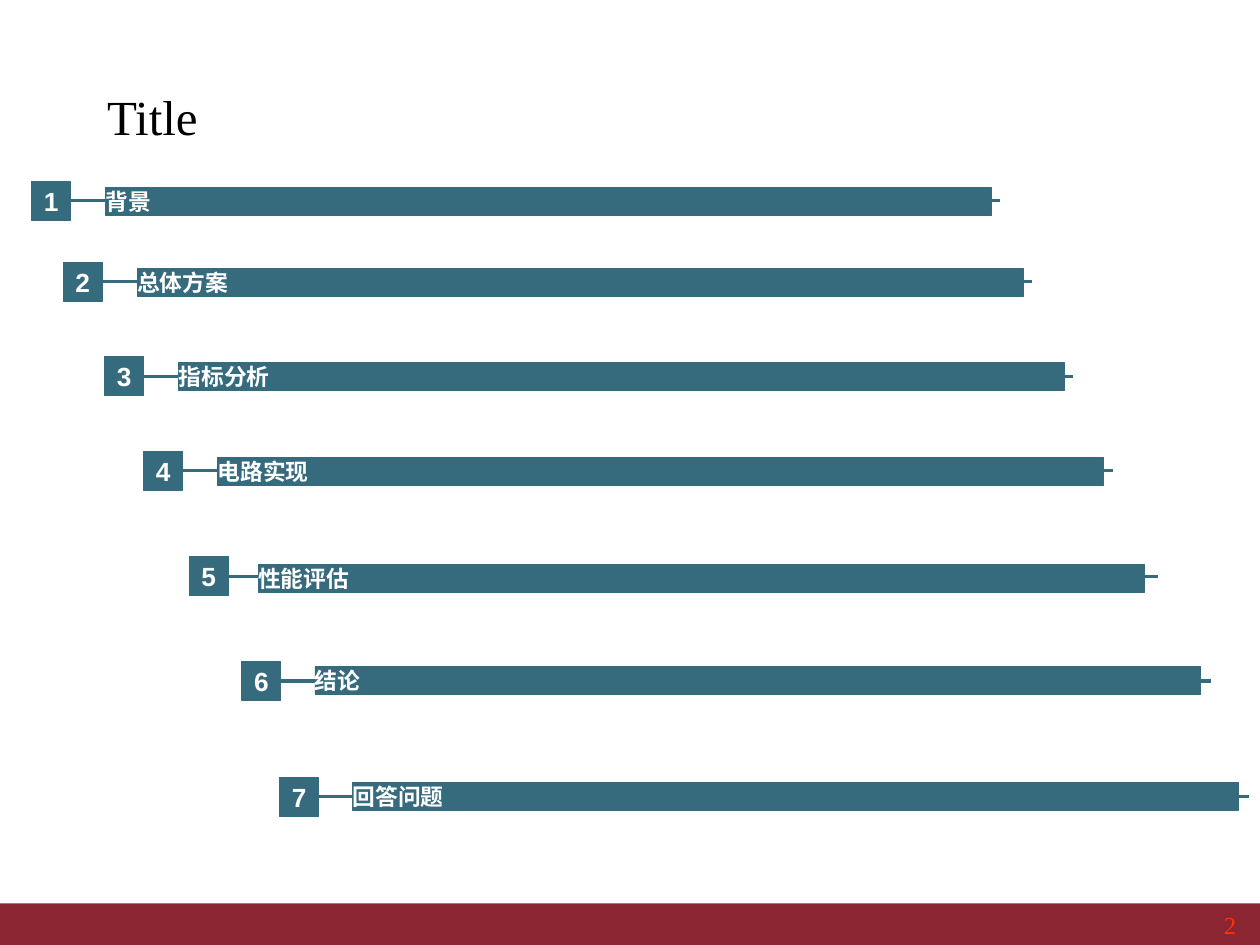
from lxml import etree
from pptx import Presentation
from pptx.dml.color import RGBColor
from pptx.enum import shapes, text
from pptx.oxml import ns
from pptx.util import Inches, Pt

TEAL = "366B7E"
BADGE_SIZE = 0.31
BAR_WIDTH, BAR_HEIGHT = 7.03, 0.22
LINE_LENGTH = 7.51


def write(shape, content, size, font, color, bold=False, align=text.PP_ALIGN.LEFT):
    frame = shape.text_frame
    frame.text = content
    paragraph = frame.paragraphs[0]
    paragraph.alignment = align
    run_font = paragraph.runs[0].font
    run_font.size, run_font.name, run_font.bold = Pt(size), font, bold
    run_font.color.rgb = RGBColor.from_string(color)


def add_box(container, left, top, width, height, color):
    shape = container.shapes.add_shape(
        shapes.MSO_SHAPE.RECTANGLE, Inches(left), Inches(top), Inches(width), Inches(height))
    shape.shadow.inherit = False
    shape.fill.solid()
    shape.fill.fore_color.rgb = RGBColor.from_string(color)
    shape.line.color.rgb = RGBColor.from_string(color)
    shape.line.width = Pt(0.5)
    frame = shape.text_frame
    frame.margin_left = frame.margin_right = frame.margin_top = frame.margin_bottom = 0
    frame.vertical_anchor = text.MSO_ANCHOR.MIDDLE
    return shape


presentation = Presentation()
presentation.slide_width, presentation.slide_height = Inches(10), Inches(7.5)
slide = presentation.slides.add_slide(presentation.slide_layouts[5])

footer = add_box(slide, 0, 7.17, 10, 0.33, "8C2532")
footer.line.fill.background()

title = slide.shapes.title
title.left, title.top = Inches(0.75), Inches(0.67)
title.width, title.height = Inches(8.5), Inches(0.5)
title.text_frame.auto_size = text.MSO_AUTO_SIZE.NONE
title.text_frame.vertical_anchor = text.MSO_ANCHOR.MIDDLE
write(title, "Title", 28, "Times New Roman", "000000")

agenda = [
    ("背景", 0.25, 1.44, 0.84, 1.49),
    ("总体方案", 0.5, 2.08, 1.09, 2.13),
    ("指标分析", 0.83, 2.83, 1.42, 2.88),
    ("电路实现", 1.14, 3.58, 1.73, 3.63),
    ("性能评估", 1.5, 4.42, 2.05, 4.48),
    ("结论", 1.92, 5.25, 2.5, 5.29),
    ("回答问题", 2.22, 6.17, 2.8, 6.21),
]
for number, (topic, badge_left, badge_top, bar_left, bar_top) in enumerate(agenda, 1):
    group = slide.shapes.add_group_shape()
    line_left = badge_left + 0.18
    line_top = Inches(badge_top + BADGE_SIZE / 2)
    line = group.shapes.add_connector(
        shapes.MSO_CONNECTOR.STRAIGHT, Inches(line_left), line_top,
        Inches(line_left + LINE_LENGTH), line_top)
    line.line.color.rgb = RGBColor.from_string(TEAL)
    line.line.width = Pt(1.75)
    etree.SubElement(line._element.spPr, ns.qn("a:effectLst"))

    badge = add_box(group, badge_left, badge_top, BADGE_SIZE, BADGE_SIZE, TEAL)
    badge.text_frame.word_wrap = False
    write(badge, str(number), 15, "Arial", "FFFFFF", True, text.PP_ALIGN.CENTER)

    bar = add_box(group, bar_left, bar_top, BAR_WIDTH, BAR_HEIGHT, TEAL)
    write(bar, topic, 13, "Arial", "FFFFFF", True)

page_number = slide.shapes.add_textbox(Inches(7.83), Inches(7.17), Inches(2.08), Inches(0.5))
page_number.text_frame.word_wrap = True
write(page_number, "2", 14, "Times New Roman", "FF3300", align=text.PP_ALIGN.RIGHT)

presentation.save("out.pptx")
